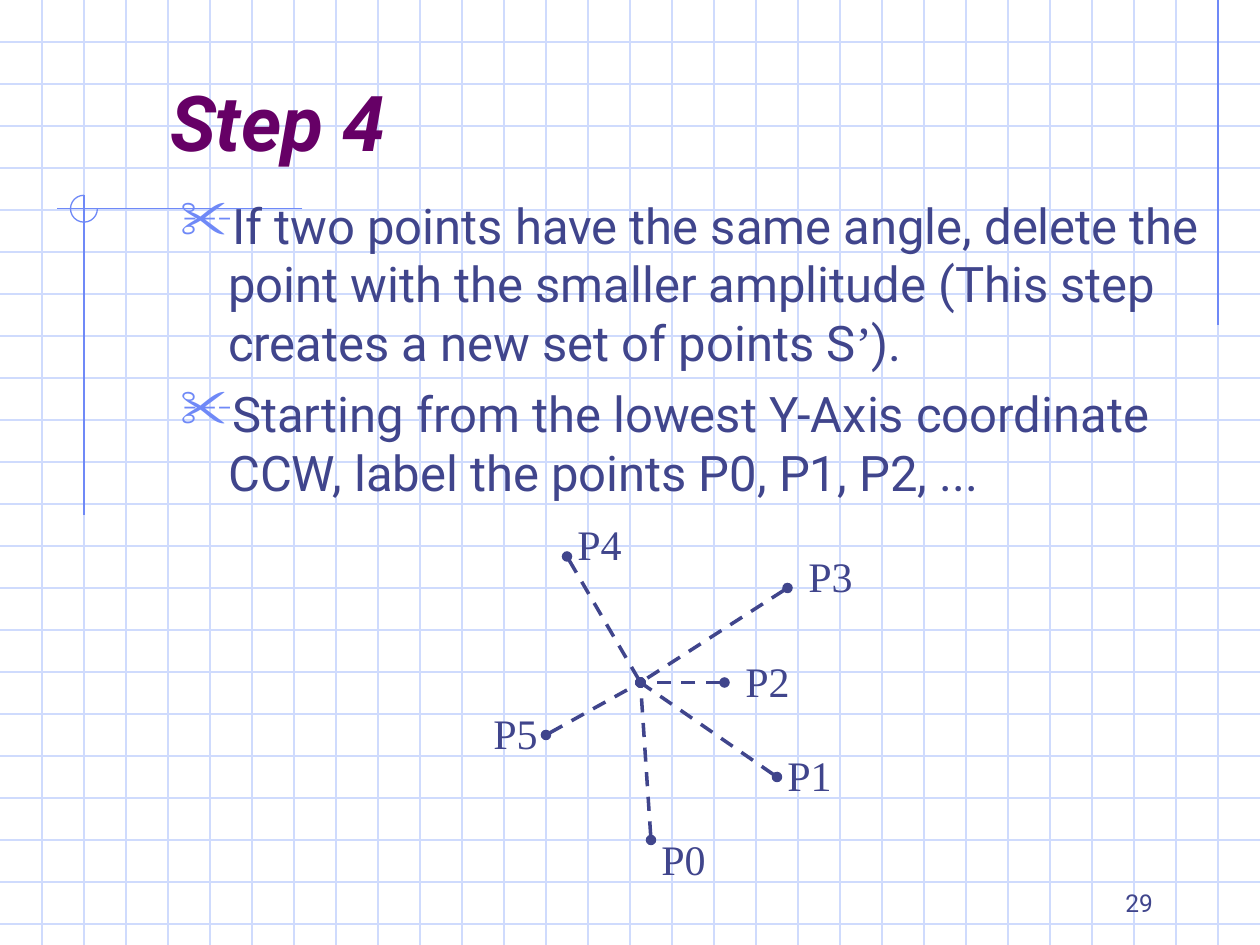
from lxml import etree
from pptx import Presentation
from pptx.dml.color import RGBColor
from pptx.enum.dml import MSO_LINE
from pptx.enum.shapes import MSO_CONNECTOR, MSO_SHAPE
from pptx.enum.text import MSO_ANCHOR, MSO_AUTO_SIZE, PP_ALIGN
from pptx.oxml.ns import qn
from pptx.util import Inches, Pt

STRAIGHT = MSO_CONNECTOR.STRAIGHT
ARC = MSO_SHAPE.ARC
DASH = MSO_LINE.DASH
LEFT, RIGHT = PP_ALIGN.LEFT, PP_ALIGN.RIGHT
TOP, MIDDLE, BOTTOM = MSO_ANCHOR.TOP, MSO_ANCHOR.MIDDLE, MSO_ANCHOR.BOTTOM
FIXED, GROW = MSO_AUTO_SIZE.NONE, MSO_AUTO_SIZE.SHAPE_TO_FIT_TEXT

PALE = RGBColor(0xCF, 0xDB, 0xFD)
BLUE = RGBColor(0x6F, 0x89, 0xF7)
INK = RGBColor(0x40, 0x45, 0x8C)
PLUM = RGBColor(0x66, 0x00, 0x66)
SANS, SERIF = "Roboto", "Times New Roman"

COLS, ROWS = 30, 22.5
CELL = Inches(10) / COLS

ITEMS = [
    [("If two points have the same angle, delete the point with the smaller "
      "amplitude (This step creates a new set of points S", SANS),
     ("’", SERIF), (").", SANS)],
    [("Starting from the lowest Y-Axis coordinate CCW, label the points "
      "P0, P1, P2, ...", SANS)],
]
HUB = (4.25, 4.25)
RAYS = [
    ("P3", (7.75, 2), (7.95, 0.95)),
    ("P4", (2.5, 1.25), (2.45, 0.2)),
    ("P2", (6.25, 4.25), (6.45, 3.45)),
    ("P5", (2, 5.5), (0.45, 4.7)),
    ("P1", (7.5, 6.5), (7.45, 5.7)),
    ("P0", (4.5, 8), (4.45, 7.7)),
]


def span(*cells):
    """Turn grid cells into slide lengths."""
    return [round(n * CELL) for n in cells]


def line(slide, start, end, color, width=0.75):
    """Draw a straight line between two grid points."""
    wire = slide.shapes.add_connector(STRAIGHT, *span(*start, *end))
    wire.line.color.rgb = color
    wire.line.width = Pt(width)
    etree.SubElement(wire.element.spPr, qn("a:effectLst"))
    return wire


def style(para, size, color, face=SANS):
    """Set the font of a whole paragraph."""
    font = para.font
    font.size, font.name, font.color.rgb = Pt(size), face, color
    return font


def text(slide, box, anchor=TOP, wrap=True, fit=FIXED):
    """Add an empty text box and return its frame."""
    frame = slide.shapes.add_textbox(*span(*box)).text_frame
    frame.word_wrap, frame.auto_size = wrap, fit
    frame.vertical_anchor = anchor
    return frame


def bullet(para):
    """Give a paragraph a hanging scissors bullet."""
    props = para._p.get_or_add_pPr()
    props.set("marL", str(Inches(0.38)))
    props.set("indent", str(-Inches(0.38)))
    tint = etree.SubElement(props, qn("a:buClr"))
    etree.SubElement(tint, qn("a:srgbClr"), val=str(BLUE))
    etree.SubElement(props, qn("a:buSzPct"), val="110000")
    etree.SubElement(props, qn("a:buChar"), char="✂")


def paper(slide, box):
    """Rule the box as graph paper, one line per cell."""
    x, y, wide, high = box
    for row in range(1, int(high) + 1):
        line(slide, (x, y + row), (x + wide, y + row), PALE)
    for col in range(1, int(wide)):
        line(slide, (x + col, y), (x + col, y + high), PALE)


def trim(slide, box):
    """Draw the margin rules and the open circle at their corner."""
    x, y, wide, high = box
    side, mid, rad = x + 2, y + 4.97, 0.32
    line(slide, (x + wide - 1, y), (x + wide - 1, y + 7.75), BLUE)
    line(slide, (x + 7.2, mid), (x + 1.35, mid), BLUE)
    line(slide, (side, mid - rad), (side, y + 12.27), BLUE)
    ring = slide.shapes.add_shape(
        ARC, *span(side - rad, mid - rad, 2 * rad, 2 * rad))
    ring.adjustments[0], ring.adjustments[1] = 0, 162
    ring.shadow.inherit = False
    ring.fill.background()
    ring.line.color.rgb = BLUE
    ring.line.width = Pt(0.75)


def heading(slide, box):
    """Place and format the title above the paper."""
    title = slide.shapes.title
    title.element.getparent().append(title.element)
    title.left, title.top, title.width, title.height = span(*box)
    frame = title.text_frame
    frame.text = "Step 4"
    frame.auto_size, frame.vertical_anchor = FIXED, MIDDLE
    para = frame.paragraphs[0]
    para.alignment = LEFT
    font = style(para, 44, PLUM)
    font.bold = font.italic = True


def body(slide, box):
    """Fill the box with the bulleted steps."""
    frame = text(slide, box)
    for rank, item in enumerate(ITEMS):
        para = frame.add_paragraph() if rank else frame.paragraphs[0]
        bullet(para)
        if rank:
            para.space_before = Pt(7)
        style(para, 28, INK)
        for words, face in item:
            run = para.add_run()
            run.text = words
            if face != SANS:
                run.font.name = face


def star(slide, box):
    """Draw dashed rays from the hub to the labelled points."""
    x, y = box[:2]
    for name, tip, tag in RAYS:
        ray = line(slide, (x + tip[0], y + tip[1]),
                   (x + HUB[0], y + HUB[1]), INK, 2)
        ray.line.dash_style = DASH
        stroke = ray.element.spPr.find(qn("a:ln"))
        for end in ("a:headEnd", "a:tailEnd"):
            etree.SubElement(stroke, qn(end), type="oval")
        frame = text(slide, (x + tag[0], y + tag[1], 1.65, 1.5),
                     wrap=False, fit=GROW)
        frame.text = name
        style(frame.paragraphs[0], 24, INK, SERIF)


def folio(slide, box):
    """Write the page number at the lower right of the box."""
    frame = text(slide, box, BOTTOM)
    frame.text = "29"
    para = frame.paragraphs[0]
    para.alignment = RIGHT
    style(para, 14, INK)


def main():
    """Build and save the slide."""
    deck = Presentation()
    deck.slide_width, deck.slide_height = span(COLS, ROWS)
    slide = deck.slides.add_slide(deck.slide_layouts[5])
    page = (0, 0, COLS, ROWS)
    paper(slide, page)
    trim(slide, page)
    folio(slide, (21.5, 20.5, 6.25, 1.5))
    heading(slide, (3.75, 1, 25.5, 3.75))
    body(slide, (4, 4.5, 25.5, 16.25))
    star(slide, (11, 12, 10, 10))
    deck.save("out.pptx")


if __name__ == "__main__":
    main()
